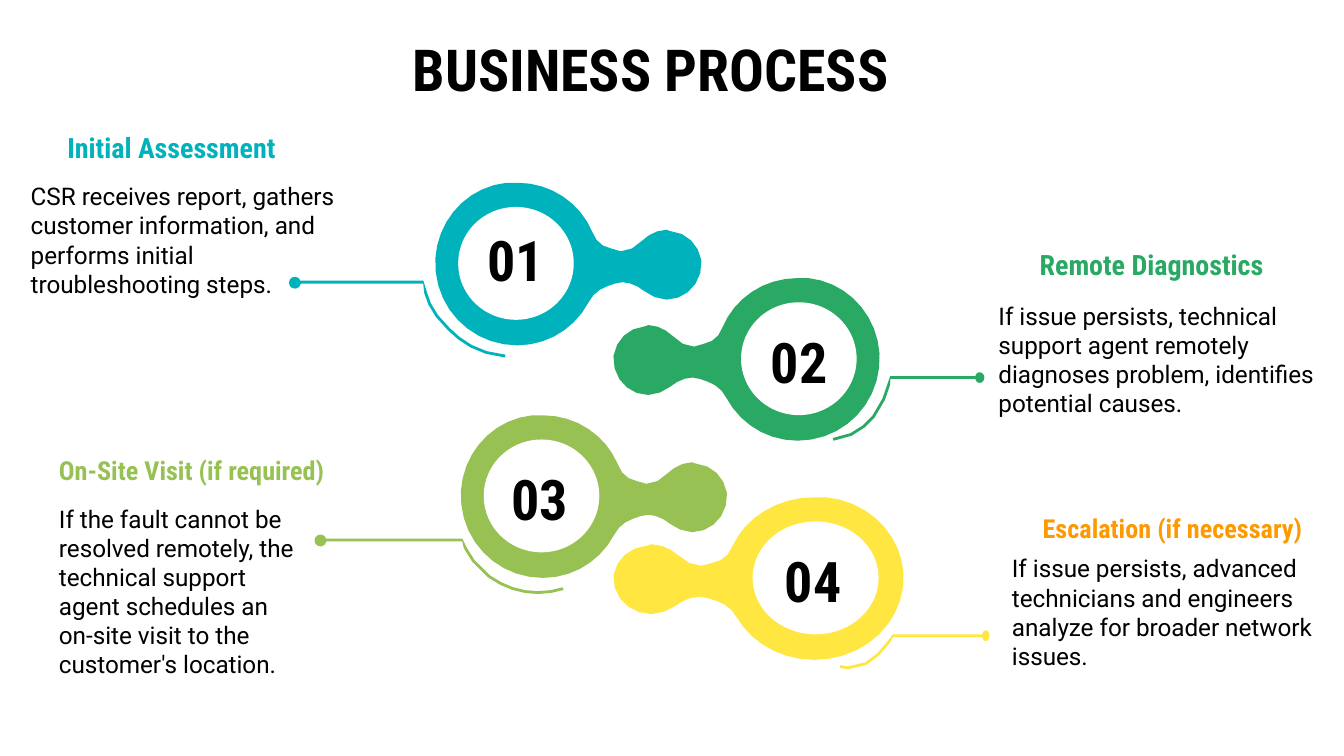
from math import ceil, cos, dist, hypot, pi, sin

from pptx import Presentation
from pptx.dml.color import RGBColor
from pptx.enum.shapes import MSO_SHAPE
from pptx.enum.text import PP_ALIGN
from pptx.util import Pt

BLACK = RGBColor(0x00, 0x00, 0x00)
WHITE = RGBColor(0xFF, 0xFF, 0xFF)
TEAL = RGBColor(0x00, 0xB2, 0xBC)
GREEN = RGBColor(0x2A, 0xA9, 0x64)
LIME = RGBColor(0x97, 0xC1, 0x53)
YELLOW = RGBColor(0xFF, 0xE6, 0x41)
ORANGE = RGBColor(0xFF, 0x99, 0x00)
HEADING_FONT = "Roboto Condensed"
BODY_FONT = "Roboto"

TITLE = "BUSINESS PROCESS"
STEPS = [
    dict(number="01", heading="Initial Assessment", color=TEAL, heading_color=TEAL,
         body="CSR receives report, gathers customer information, and performs initial "
              "troubleshooting steps.",
         badge=(231.8, 97.9, 144.7, 87.1), mirrored=False,
         number_box=(253.4, 113.8, 45.4, 31.7),
         heading_box=(-30.2, 62.6, 185, 27.4), heading_size=15, heading_align=PP_ALIGN.RIGHT,
         body_box=(9.4, 90, 185, 92.2),
         dot=(158, 151.5, 3.2, 3.2),
         leader=[(226.8, 151.2), (228.2, 158.4), (229.7, 166.3), (240.5, 176.4),
                 (247, 182.9), (255.6, 189.4), (270.7, 190.8)]),
    dict(number="02", heading="Remote Diagnostics", color=GREEN, heading_color=GREEN,
         body="If issue persists, technical support agent remotely diagnoses problem, "
              "identifies potential causes.",
         badge=(327.9, 149, 144.7, 87.1), mirrored=True,
         number_box=(405.4, 168.5, 45.4, 31.7),
         heading_box=(499, 125.3, 185, 31.7), heading_size=15, heading_align=PP_ALIGN.RIGHT,
         body_box=(527.8, 154.1, 186.5, 82.8),
         dot=(524.9, 202.3, 2.5, 2.9),
         leader=[(477, 202.3), (476.6, 203.8), (475.2, 213.8), (468, 223.2),
                 (463.3, 228.6), (457.6, 234), (446.4, 235.4)]),
    dict(number="03", heading="On-Site Visit (if required)", color=LIME, heading_color=LIME,
         body="If the fault cannot be resolved remotely, the technical support agent "
              "schedules an on-site visit to the customer's location.",
         badge=(245.5, 222.5, 144.7, 87.1), mirrored=False,
         number_box=(266.4, 241.9, 45.4, 31.7),
         heading_box=(24.5, 236.2, 185, 27.4), heading_size=14, heading_align=PP_ALIGN.LEFT,
         body_box=(24.5, 262.8, 144.7, 91.4),
         dot=(171.7, 289.6, 3.2, 3.2),
         leader=[(247.7, 289.4), (248, 291.2), (251.3, 300.6), (262.1, 308.9),
                 (270, 314.6), (279, 317.5), (288, 317.5),
                 (292.7, 317.5), (297.4, 316.8), (301.7, 315.4)]),
    dict(number="04", heading="Escalation (if necessary)", color=YELLOW, heading_color=ORANGE,
         body="If issue persists, advanced technicians and engineers analyze for broader "
              "network issues.",
         badge=(327.9, 266.4, 157.7, 87.1), mirrored=True,
         number_box=(411.1, 285.8, 49, 31.7),
         heading_box=(551.5, 267.1, 162.7, 27.4), heading_size=14, heading_align=PP_ALIGN.LEFT,
         body_box=(535, 289.4, 179.3, 60.5),
         dot=(528.1, 340.6, 2, 2.9),
         leader=[(478.4, 340.6), (478.1, 341.3), (475.2, 345.6), (470.5, 350.6),
                 (467.3, 354.2), (461.5, 357.8), (454.3, 357.8),
                 (452.9, 357.8), (451.4, 357.1), (450, 357.1)]),
]

BADGE_GRID = (201, 121)
BADGE_HOLE = (19, 18, 86, 84)
BADGE_CURVE = [
    (63, 0), (60, 0), (58, 0), (55, 0), (26, 3), (4, 27), (2, 56),
    (0, 92), (28, 121), (63, 121), (86, 121), (106, 108), (116, 89),
    (119, 83), (124, 79), (130, 77), (133, 76), (138, 74), (141, 74),
    (147, 74), (153, 77), (158, 81), (162, 84), (168, 87), (174, 87),
    (189, 87), (201, 74), (200, 58), (198, 46), (189, 37), (177, 36),
    (176, 36), (175, 35), (174, 35), (167, 35), (160, 39), (156, 43),
    (151, 48), (146, 51), (140, 51), (138, 51), (135, 50), (133, 49),
    (126, 48), (121, 43), (119, 37), (110, 15), (88, 0), (63, 0),
]
CURVE_SPACING = 9
DOT_STEPS = 10
LEADER_HALF_WIDTH = 0.75


def trace_curve(controls):
    points = [controls[0]]
    for i in range(0, len(controls) - 1, 3):
        segment = controls[i:i + 4]
        steps = ceil(dist(segment[0], segment[3]) / CURVE_SPACING)
        for step in range(1, steps + 1):
            t = step / steps
            weights = ((1 - t) ** 3, 3 * t * (1 - t) ** 2, 3 * t * t * (1 - t), t ** 3)
            points.append(tuple(sum(w * p[axis] for w, p in zip(weights, segment))
                                for axis in (0, 1)))
    return points


def leader_outline(dot, controls):
    x, y, radius_x, radius_y = dot
    side = 1 if controls[0][0] > x else -1
    angles = [0.25 + (2 * pi - 0.5) * i / DOT_STEPS for i in range(DOT_STEPS + 1)]
    circle = [(x + side * radius_x * cos(a), y + radius_y * sin(a)) for a in angles]
    center = [(x + side * radius_x, controls[0][1])] + trace_curve(controls)
    upper, lower = [], []
    for i, (px, py) in enumerate(center):
        before, after = center[max(i - 1, 0)], center[min(i + 1, len(center) - 1)]
        dx, dy = after[0] - before[0], after[1] - before[1]
        reach = side * LEADER_HALF_WIDTH / hypot(dx, dy)
        upper.append((px + dy * reach, py - dx * reach))
        lower.append((px - dy * reach, py + dx * reach))
    return circle + upper + lower[::-1]


def paint(shape, color):
    shape.fill.solid()
    shape.fill.fore_color.rgb = color
    shape.line.fill.background()
    shape.shadow.inherit = False


def add_outline(shapes, points, color):
    points = [(Pt(x), Pt(y)) for x, y in points]
    builder = shapes.build_freeform(*points[0])
    builder.add_line_segments(points[1:], close=True)
    paint(builder.convert_to_shape(), color)


def add_text(shapes, text, *, box, size, font=HEADING_FONT, color=BLACK, bold=True,
             align=PP_ALIGN.LEFT, line_spacing=None):
    frame = shapes.add_textbox(*map(Pt, box)).text_frame
    frame.word_wrap = True
    frame.margin_left = frame.margin_right = Pt(7.2)
    frame.margin_top = frame.margin_bottom = Pt(7.2)
    paragraph = frame.paragraphs[0]
    paragraph.alignment = align
    paragraph.line_spacing = line_spacing
    run = paragraph.add_run()
    run.text = text
    run.font.name = font
    run.font.size = Pt(size)
    run.font.bold = bold
    run.font.color.rgb = color


def add_badge(shapes, box, mirrored, color):
    left, top, width, height = box
    grid_width, grid_height = BADGE_GRID
    scale_x, scale_y = width / grid_width, height / grid_height
    curve = [(left + (grid_width - x if mirrored else x) * scale_x, top + y * scale_y)
             for x, y in trace_curve(BADGE_CURVE)]
    add_outline(shapes, curve, color)
    x, y, hole_width, hole_height = BADGE_HOLE
    if mirrored:
        x = grid_width - x - hole_width
    hole = shapes.add_shape(MSO_SHAPE.OVAL, Pt(left + x * scale_x), Pt(top + y * scale_y),
                            Pt(hole_width * scale_x), Pt(hole_height * scale_y))
    paint(hole, WHITE)


def add_step(slide, step):
    shapes = slide.shapes.add_group_shape().shapes
    add_badge(shapes, step["badge"], step["mirrored"], step["color"])
    add_outline(shapes, leader_outline(step["dot"], step["leader"]), step["color"])
    add_text(shapes, step["heading"], box=step["heading_box"], size=step["heading_size"],
             color=step["heading_color"], align=step["heading_align"])
    add_text(shapes, step["body"], box=step["body_box"], size=13, font=BODY_FONT, bold=False)
    add_text(shapes, step["number"], box=step["number_box"], size=30, align=PP_ALIGN.CENTER)


def main():
    deck = Presentation()
    deck.slide_width, deck.slide_height = Pt(720), Pt(405)
    slide = deck.slides.add_slide(deck.slide_layouts[6])
    add_text(slide.shapes, TITLE, box=(24.5, 15.1, 648, 47.5), size=31,
             align=PP_ALIGN.CENTER, line_spacing=0.9)
    for step in STEPS:
        add_step(slide, step)
    deck.save("out.pptx")


if __name__ == "__main__":
    main()
